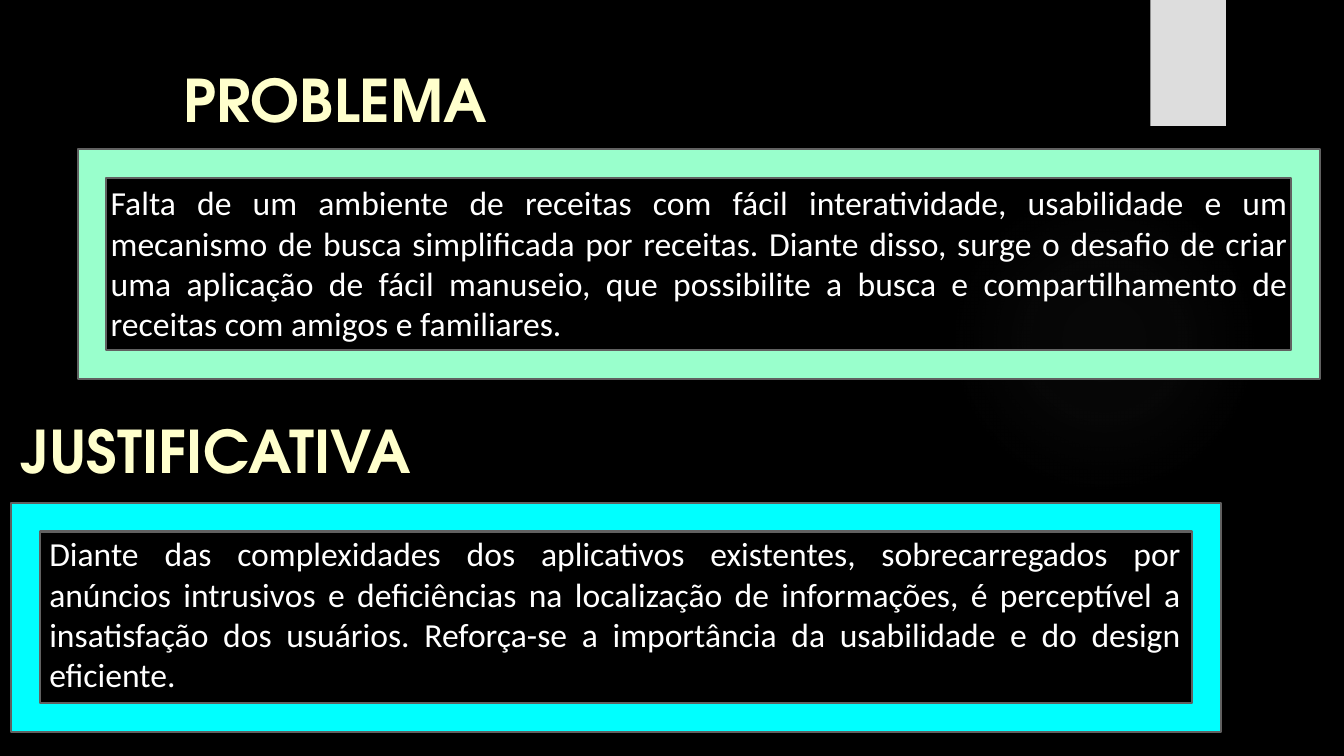
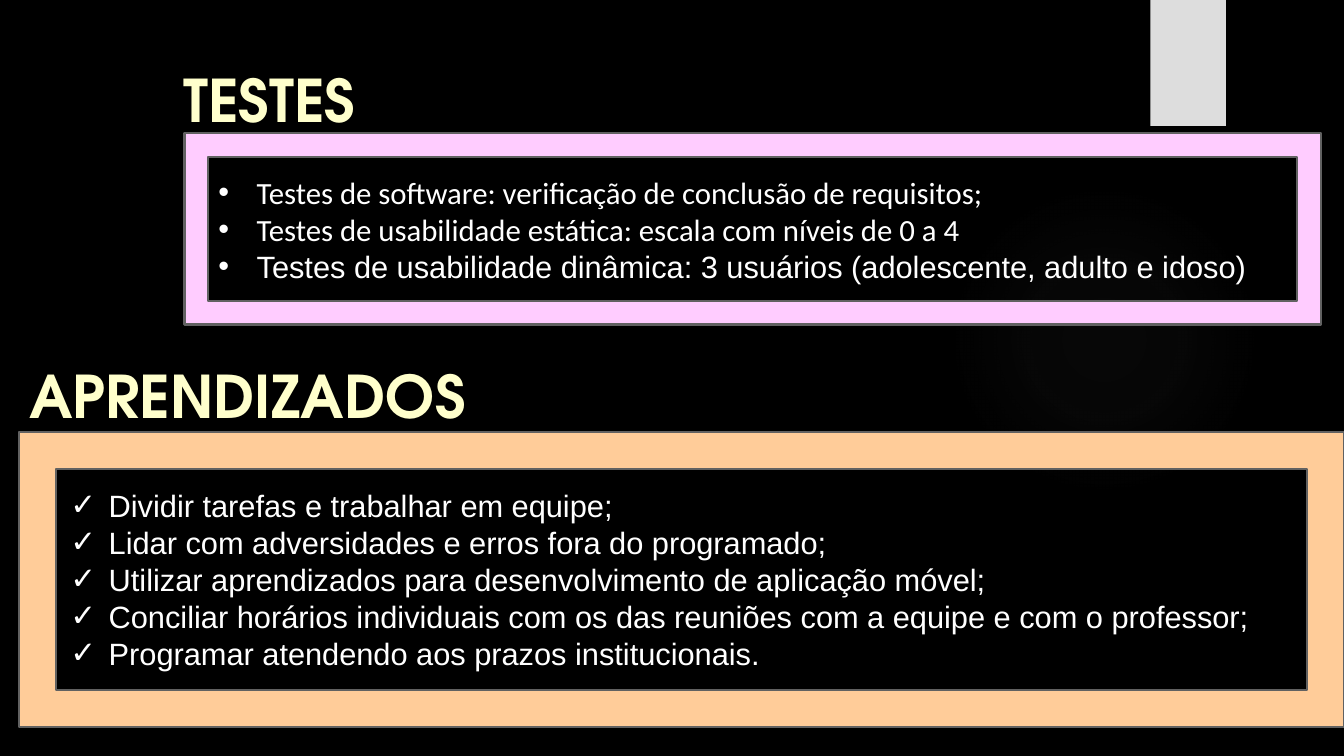
from lxml import etree
from pptx import Presentation
from pptx.dml.color import RGBColor
from pptx.enum.shapes import MSO_SHAPE
from pptx.enum.text import MSO_ANCHOR, MSO_AUTO_SIZE, PP_ALIGN
from pptx.oxml import parse_xml
from pptx.oxml.ns import qn
from pptx.util import Emu, Pt

PX = 9144  # 100 px to the inch
OVAL, RECT, FRAME = MSO_SHAPE.OVAL, MSO_SHAPE.RECTANGLE, MSO_SHAPE.FRAME
TOP, MIDDLE = MSO_ANCHOR.TOP, MSO_ANCHOR.MIDDLE
LEFT, JUSTIFY = PP_ALIGN.LEFT, PP_ALIGN.JUSTIFY
NO_FIT = MSO_AUTO_SIZE.NONE

BLACK, WHITE, CREAM = "000000", "FFFFFF", "FFFFCC"
TAB, EDGE, GLOW = "DDDDDD", "616161", "666666"
HEAD, BODY, PLAIN = "TeX Gyre Adventor", "Calibri", "Arial"
HEAD_W, HEAD_H = 1029, 153
DRAWING = "http://schemas.openxmlformats.org/drawingml/2006/main"

PROBLEM = (
    "Falta de um ambiente de receitas com fácil interatividade, usabilidade e um "
    "mecanismo de busca simplificada por receitas. Diante disso, surge o desafio de "
    "criar uma aplicação de fácil manuseio, que possibilite a busca e "
    "compartilhamento de receitas com amigos e familiares."
)
REASON = (
    "Diante das complexidades dos aplicativos existentes, sobrecarregados por "
    "anúncios intrusivos e deficiências na localização de informações, é perceptível "
    "a insatisfação dos usuários. Reforça-se a importância da usabilidade e do "
    "design eficiente."
)
TESTS = [
    ("Testes de software: verificação de conclusão de requisitos;", BODY),
    ("Testes de usabilidade estática: escala com níveis de 0 a 4", BODY),
    ("Testes de usabilidade dinâmica: 3 usuários (adolescente, adulto e idoso)", PLAIN),
]
LESSONS = [
    "Dividir tarefas e trabalhar em equipe;",
    "Lidar com adversidades e erros fora do programado;",
    "Utilizar aprendizados para desenvolvimento de aplicação móvel;",
    "Conciliar horários individuais com os das reuniões com a equipe e com o professor;",
    "Programar atendendo aos prazos institucionais.",
]


def box(*sizes):
    return [Emu(size * PX) for size in sizes]


def paint(fill, color):
    fill.solid()
    fill.fore_color.rgb = RGBColor.from_string(color)


def style(para, font, size, color, align, bold=False):
    para.alignment = align
    for run in para.runs:
        run.font.name = font
        run.font.size = Pt(size)
        run.font.bold = bold
        run.font.color.rgb = RGBColor.from_string(color)


def shape(slide, kind, place, color, edge=None):
    item = slide.shapes.add_shape(kind, *box(*place))
    item.shadow.inherit = False
    paint(item.fill, color)
    if edge:
        paint(item.line.fill, edge)
        item.line.width = Pt(1.5)
    else:
        item.line.fill.background()
    return item


def text_box(slide, place):
    frame = slide.shapes.add_textbox(*box(*place)).text_frame
    frame.word_wrap = True
    return frame


def fade(item, color, stops):
    """Swap the solid fill for a round gradient of (position, opacity) stops."""
    marks = "".join(
        f'<a:gs pos="{at * 1000}"><a:srgbClr val="{color}">'
        f'<a:alpha val="{alpha * 1000}"/></a:srgbClr></a:gs>'
        for at, alpha in stops
    )
    grad = parse_xml(
        f'<a:gradFill xmlns:a="{DRAWING}"><a:gsLst>{marks}</a:gsLst>'
        '<a:path path="circle"><a:fillToRect l="50000" t="50000" r="50000" b="50000"/>'
        "</a:path></a:gradFill>"
    )
    solid = item.fill._xPr.find(qn("a:solidFill"))
    solid.getparent().replace(solid, grad)


def head(frame, text):
    frame.text = text
    frame.word_wrap = True
    frame.auto_size = NO_FIT
    frame.vertical_anchor = TOP
    style(frame.paragraphs[0], HEAD, 42, CREAM, LEFT, True)


def prose(slide, place, text):
    frame = text_box(slide, place)
    frame.text = text
    style(frame.paragraphs[0], BODY, 24, WHITE, JUSTIFY)


def bullets(frame, rows, mark):
    frame.text = "\n".join(text for text, _ in rows)
    for para, (_, font) in zip(frame.paragraphs, rows):
        style(para, font, 22, WHITE, JUSTIFY)
        para.line_spacing = Pt(26.4)
        props = para._p.get_or_add_pPr()
        props.set("marL", str(38 * PX))
        props.set("indent", str(-38 * PX))
        etree.SubElement(props, qn("a:buFont")).set("typeface", PLAIN)
        etree.SubElement(props, qn("a:buChar")).set("char", mark)


def page(deck, title, second, left, top):
    """Add a slide with the shared decor, its title and a second heading."""
    slide = deck.slides.add_slide(deck.slide_layouts[5])
    glow = shape(slide, OVAL, (941, 183, 308, 308), GLOW)
    fade(glow, GLOW, [(0, 7), (36, 6), (69, 0)])
    shape(slide, RECT, (1141, 0, 75, 125), TAB)
    name = slide.shapes.title
    name.left, name.top, name.width, name.height = box(172, 58, HEAD_W, HEAD_H)
    head(name.text_frame, title)
    head(text_box(slide, (left, top, HEAD_W, HEAD_H)), second)
    return slide


def purpose(deck):
    slide = page(deck, "PROBLEMA", "JUSTIFICATIVA", 11, 407)
    shape(slide, FRAME, (77, 148, 1232, 228), "99FFCC", EDGE)
    prose(slide, (100, 176, 1187, 172), PROBLEM)
    shape(slide, FRAME, (11, 499, 1200, 227), "00FFFF", EDGE)
    prose(slide, (39, 524, 1142, 172), REASON)


def results(deck):
    slide = page(deck, "TESTES", "APRENDIZADOS", 19, 352)
    tests = shape(slide, FRAME, (183, 132, 1127, 190), "FFCCFF", EDGE)
    tests.text_frame.vertical_anchor = MIDDLE
    bullets(tests.text_frame, TESTS, "•")
    shape(slide, FRAME, (19, 429, 1314, 292), "FFCC99", EDGE)
    lessons = text_box(slide, (60, 478, 1191, 232))
    bullets(lessons, [(text, PLAIN) for text in LESSONS], "✓")


def main():
    deck = Presentation()
    deck.slide_width, deck.slide_height = box(1333, 750)
    paint(deck.slide_master.background.fill, BLACK)
    purpose(deck)
    results(deck)
    deck.save("out.pptx")


if __name__ == "__main__":
    main()
